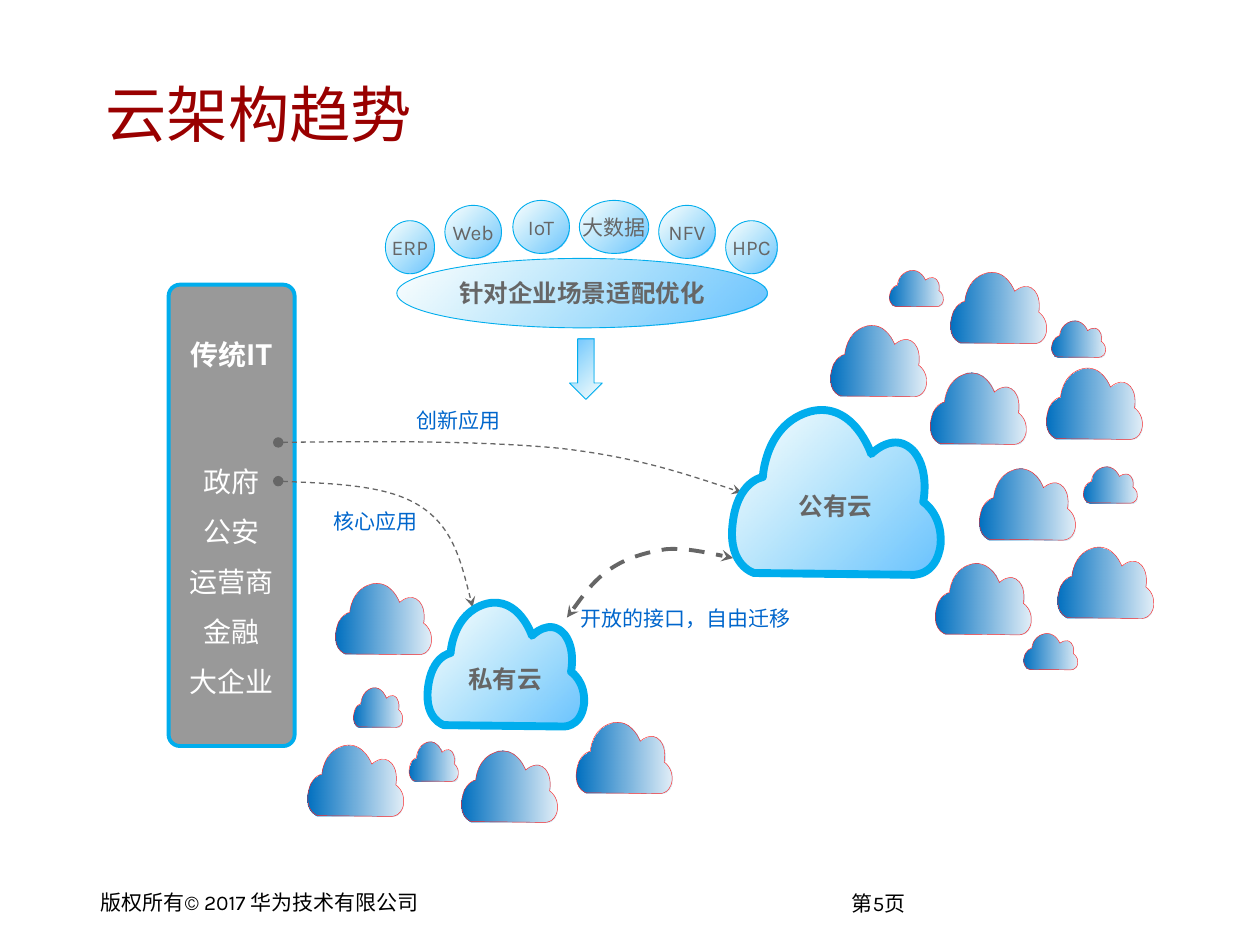
from dataclasses import dataclass
from typing import NamedTuple

from lxml.etree import SubElement
from pptx import Presentation
from pptx.dml.color import RGBColor
from pptx.enum.dml import MSO_LINE
from pptx.enum.shapes import MSO_SHAPE as Shp
from pptx.enum.text import MSO_ANCHOR as Anchor, MSO_AUTO_SIZE as Auto, PP_ALIGN as Align
from pptx.oxml import parse_xml
from pptx.oxml.ns import nsdecls, qn
from pptx.util import Cm, Pt

COLORS = {
    "title": "990000", "black": "000000", "white": "FFFFFF", "gray": "666666",
    "panel": "999999", "label": "0066CC", "cyan": "00ADED", "azure": "0099FF",
    "blue": "0070C0", "red": "FF2929",
}
LATIN, CJK = "Karla", "Noto Sans CJK SC"


class Box(NamedTuple):
    x: float
    y: float
    w: float
    h: float


class Stop(NamedTuple):
    color: str
    alpha: int


class Gradient(NamedTuple):
    start: Stop
    end: Stop
    angle: int


@dataclass
class TextStyle:
    size: float
    color: str
    font: str = LATIN
    bold: bool = False
    align: Align = Align.CENTER


@dataclass
class Flow:
    points: list
    head: str
    width: float


GLASS = Gradient(Stop("cyan", 0), Stop("azure", 60), 315)
FADE = Gradient(Stop("blue", 100), Stop("blue", 11), 0)

CLOUD_POINTS = [
    (0.12, 0.97),
    (0.12, 0.97), (0, 0.93), (0.02, 0.7),
    (0.04, 0.45), (0.16, 0.43), (0.16, 0.43),
    (0.16, 0.43), (0.17, 0.13), (0.38, 0.06),
    (0.58, 0), (0.66, 0.3), (0.66, 0.3),
    (0.66, 0.3), (0.77, 0.16), (0.86, 0.29),
    (0.93, 0.4), (0.9, 0.57), (0.9, 0.57),
    (0.9, 0.57), (0.99, 0.64), (0.98, 0.81),
    (0.96, 1), (0.84, 0.98), (0.84, 0.98),
]

FLOWS = [
    Flow([(5.61, 8.92), (7.67, 8.89), (9.75, 8.89), (11.3, 9.04),
          (12.85, 9.22), (13.89, 9.58), (14.96, 9.93)], "oval", 0.75),
    Flow([(5.61, 9.7), (6.73, 9.75), (7.82, 9.78), (8.48, 10.21),
          (9.14, 10.64), (9.32, 11.43), (9.53, 12.24)], "oval", 0.75),
    Flow([(11.43, 12.45), (11.71, 12.07), (11.96, 11.71), (12.29, 11.48),
          (12.62, 11.25), (13.03, 11.13), (13.44, 11.07),
          (13.84, 11.05), (14.3, 11.15), (14.78, 11.25)], "stealth", 2.25),
]

LABELS = [
    ("创新应用", Box(8.13, 8.05, 2.24, 0.86)),
    ("核心应用", Box(6.45, 10.08, 2.24, 0.86)),
    ("开放的接口，自由迁移", Box(11.43, 12.09, 4.78, 0.76)),
]
FOOTERS = [
    ("第5页", Box(16.94, 17.83, 1.83, 0.74)),
    ("版权所有© 2017 华为技术有限公司", Box(1.8, 17.81, 7.09, 0.74)),
]
WORKLOADS = [
    ("ERP", 7.77, 4.45, 0.99), ("Web", 8.97, 4.14, 1.14), ("IoT", 10.34, 4.04, 1.14),
    ("大数据", 11.68, 4.04, 1.4), ("NFV", 13.28, 4.14, 1.14), ("HPC", 14.63, 4.45, 1.04),
]
MAIN_CLOUDS = [
    ("私有云", Box(8.56, 12.01, 3.28, 2.69)),
    ("公有云", Box(14.68, 8.08, 4.37, 3.58)),
]
SMALL_CLOUDS = {
    (2.01, 1.55): [(18.82, 11.28), (16.71, 6.48), (18.72, 7.44), (19.71, 9.37),
                   (21.06, 7.34), (19.13, 5.41), (21.29, 10.95), (6.17, 14.94),
                   (9.27, 15.06), (11.58, 14.48), (6.73, 11.68)],
    (1.13, 0.79): [(21.82, 9.37), (17.91, 5.41), (21.18, 6.43), (20.62, 12.73)],
    (1.03, 0.86): [(7.11, 13.82), (8.23, 14.91)],
}


def rgb(name: str) -> RGBColor:
    return RGBColor.from_string(COLORS[name])


def place(box: Box) -> list:
    return [Cm(v) for v in box]


def write(sp, lines: list, style: TextStyle, inset: float = 0.18, wrap: bool = False):
    tf = sp.text_frame
    frame = {"word_wrap": wrap, "auto_size": Auto.NONE, "vertical_anchor": Anchor.MIDDLE,
             "margin_left": Cm(inset), "margin_right": Cm(inset),
             "margin_top": Cm(0.1), "margin_bottom": Cm(0.1)}
    for name, value in frame.items():
        setattr(tf, name, value)
    tf.text = "\n".join(lines)
    for p in tf.paragraphs:
        p.alignment = style.align
        r = p.runs[0]
        fmt = {"size": Pt(style.size), "bold": style.bold, "name": style.font}
        for name, value in fmt.items():
            setattr(r.font, name, value)
        r.font.color.rgb = rgb(style.color)
        SubElement(r.font._element, qn("a:ea"), typeface=CJK)
    return tf


def add_text(slide, text: str, box: Box, style: TextStyle) -> None:
    write(slide.shapes.add_textbox(*place(box)), [text], style, 0.23)


def paint(sp, gradient: Gradient, line: str, width: float) -> None:
    sp.shadow.inherit = False
    sp.fill.gradient()
    sp.fill.gradient_angle = gradient.angle
    nodes = sp._element.spPr.iter(qn("a:gs"))
    for stop, node, tint in zip(sp.fill.gradient_stops, nodes, gradient[:2]):
        stop.color.rgb = rgb(tint.color)
        SubElement(node[0], qn("a:alpha"), val=str(tint.alpha * 1000))
    sp.line.color.rgb = rgb(line)
    sp.line.width = Pt(width)


def add_curve(slide, points: list, close: bool):
    (x, y), *rest = [(Cm(px), Cm(py)) for px, py in points]
    builder = slide.shapes.build_freeform(x, y)
    builder.add_line_segments(rest, close=close)
    sp = builder.convert_to_shape()
    segments = list(sp._element.spPr.iter(qn("a:lnTo")))
    for i in range(0, len(segments), 3):
        curve = parse_xml(f"<a:cubicBezTo {nsdecls('a')}/>")
        segments[i].addprevious(curve)
        for segment in segments[i:i + 3]:
            curve.append(segment[0])
            segment.getparent().remove(segment)
    return sp


def add_cloud(slide, box: Box, gradient: Gradient, line: str, width: float):
    points = [(box.x + u * box.w, box.y + v * box.h) for u, v in CLOUD_POINTS]
    sp = add_curve(slide, points, True)
    paint(sp, gradient, line, width)
    return sp


def add_flow(slide, flow: Flow) -> None:
    sp = add_curve(slide, flow.points, False)
    sp.shadow.inherit = False
    sp.fill.background()
    sp.line.color.rgb = rgb("gray")
    sp.line.width = Pt(flow.width)
    sp.line.dash_style = MSO_LINE.DASH
    ln = sp.line._ln
    SubElement(ln, qn("a:headEnd"), type=flow.head)
    SubElement(ln, qn("a:tailEnd"), type="stealth")


def add_glass(slide, kind: Shp, box: Box):
    sp = slide.shapes.add_shape(kind, *place(box))
    paint(sp, GLASS, "cyan", 0.5)
    return sp


def add_panel(slide) -> None:
    sp = slide.shapes.add_shape(Shp.ROUNDED_RECTANGLE, *place(Box(3.4, 5.74, 2.54, 9.3)))
    sp.adjustments[0] = 0.09
    sp.shadow.inherit = False
    sp.fill.solid()
    sp.fill.fore_color.rgb = rgb("panel")
    sp.line.color.rgb = rgb("cyan")
    sp.line.width = Pt(2.25)
    lines = ["传统IT", "政府", "公安", "运营商", "金融", "大企业"]
    heading, *sectors = write(sp, lines, TextStyle(16, "white", CJK)).paragraphs
    heading.line_spacing = Pt(22)
    heading.runs[0].font.bold = True
    for p in sectors:
        p.line_spacing = Pt(28.6)
    sectors[0].space_before = Pt(44)


def main() -> None:
    prs = Presentation()
    prs.slide_width, prs.slide_height = Cm(25.4), Cm(19.05)
    slide = prs.slides.add_slide(prs.slide_layouts[5])

    title = slide.shapes.title
    title.left, title.top, title.width, title.height = place(Box(1.9, 1.07, 22, 2.41))
    write(title, ["云架构趋势"], TextStyle(35, "title", align=Align.LEFT), 0.23, True)
    for text, box in FOOTERS:
        add_text(slide, text, box, TextStyle(12, "black", align=Align.LEFT))

    add_panel(slide)
    for flow in FLOWS:
        add_flow(slide, flow)
    for text, box in LABELS:
        add_text(slide, text, box, TextStyle(12, "label", CJK))

    strong = TextStyle(14, "gray", CJK, True)
    write(add_glass(slide, Shp.OVAL, Box(8, 5.21, 7.47, 1.4)), ["针对企业场景适配优化"], strong)
    for text, x, y, w in WORKLOADS:
        write(add_glass(slide, Shp.OVAL, Box(x, y, w, 1.07)), [text], TextStyle(12, "gray"))
    add_glass(slide, Shp.UP_ARROW, Box(11.48, 6.83, 0.66, 1.22)).rotation = 180

    for text, box in MAIN_CLOUDS:
        tf = write(add_cloud(slide, box, GLASS, "cyan", 4.5), [text], strong)
        tf.margin_top = Cm(0.75)
    for size, corners in SMALL_CLOUDS.items():
        for corner in corners:
            add_cloud(slide, Box(*corner, *size), FADE, "red", 0.25)

    prs.save("out.pptx")


if __name__ == "__main__":
    main()
